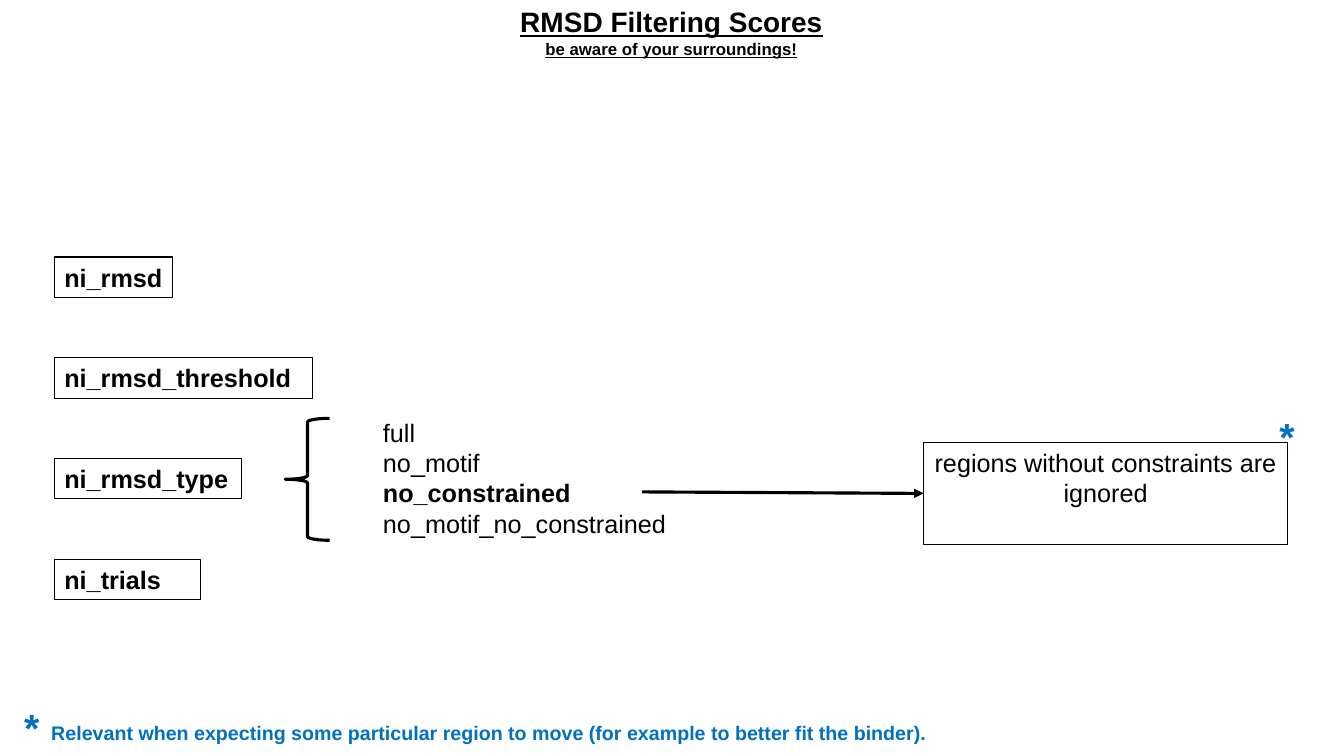
from pptx import Presentation
from pptx.dml.color import RGBColor
from pptx.enum.shapes import MSO_CONNECTOR, MSO_SHAPE
from pptx.enum.text import MSO_ANCHOR, PP_ALIGN
from pptx.oxml.ns import qn
from pptx.util import Inches, Pt
from lxml import etree

BLACK = RGBColor(0x00, 0x00, 0x00)
BLUE = RGBColor(0x00, 0x70, 0xC0)
RECT, BRACE = MSO_SHAPE.RECTANGLE, MSO_SHAPE.LEFT_BRACE
LINE = MSO_CONNECTOR.STRAIGHT
LEFT, MID = PP_ALIGN.LEFT, PP_ALIGN.CENTER
TOP = MSO_ANCHOR.TOP


class Page:
    font = "Arial"

    def __init__(self, slide):
        self.shapes = slide.shapes

    def label(self, shape, lines, color=BLACK, align=LEFT):
        """Each line is (text, size, bold, underline)."""
        frame = shape.text_frame
        frame.word_wrap = True
        frame.vertical_anchor = TOP
        if align == LEFT:
            frame.margin_right = 0
        for i, (text, size, bold, under) in enumerate(lines):
            para = frame.add_paragraph() if i else frame.paragraphs[0]
            para.alignment = align
            run = para.add_run()
            run.text = text
            font = run.font
            font.name, font.size = self.font, Pt(size)
            font.bold, font.underline = bold, under
            font.color.rgb = color

    def text(self, box, lines, color=BLACK, align=LEFT):
        shape = self.shapes.add_textbox(*map(Inches, box))
        self.label(shape, lines, color, align)

    def shape(self, kind, box, width):
        shape = self.shapes.add_shape(kind, *map(Inches, box))
        shape.shadow.inherit = False
        shape.fill.background()
        shape.line.color.rgb = BLACK
        shape.line.width = Pt(width)
        return shape

    def box(self, box, lines, align=LEFT):
        shape = self.shape(RECT, box, 0.75)
        self.label(shape, lines, BLACK, align)
        return shape

    def arrow(self, x, y, goal, side):
        line = self.shapes.add_connector(LINE, Inches(x), Inches(y), 0, 0)
        line.end_connect(goal, side)
        line.line.color.rgb = BLACK
        line.line.width = Pt(2.25)
        props = line._element.spPr
        etree.SubElement(props.find(qn("a:ln")), qn("a:tailEnd"),
                         type="triangle")
        etree.SubElement(props, qn("a:effectLst"))


def main():
    deck = Presentation()
    deck.slide_width, deck.slide_height = Inches(13.33), Inches(7.5)
    page = Page(deck.slides.add_slide(deck.slide_layouts[6]))

    # Title
    page.text((4.96, 0, 3.4, 0.64),
              [("RMSD Filtering Scores", 20, True, True),
               ("be aware of your surroundings!", 12, True, True)],
              align=MID)

    # Filter names
    names = [("ni_rmsd", 1.17), ("ni_rmsd_threshold", 2.56),
             ("ni_rmsd_type", 1.86), ("ni_trials", 1.45)]
    for i, (name, width) in enumerate(names):
        page.box((0.54, 2.55 + i, width, 0.4), [(name, 18, True, False)])

    # Type options
    page.shape(BRACE, (2.83, 4.15, 0.44, 1.21), 2.25)
    kinds = ["full", "no_motif", "no_constrained", "no_motif_no_constrained"]
    page.text((3.7, 4.09, 3.39, 1.31),
              [(kind, 18, kind == "no_constrained", False) for kind in kinds])

    # Meaning of the chosen type
    region = page.box((9.16, 4.39, 3.61, 1.01),
                      [("regions without constraints are ignored",
                        18, False, False)], MID)
    page.arrow(6.37, 4.88, region, 1)

    # Star marks and footnote
    for x, y in [(12.59, 4.04), (0.14, 6.93)]:
        page.text((x, y, 0.42, 0.57), [("*", 28, True, False)], BLUE)
    page.text((0.41, 7.1, 10.25, 0.34),
              [("Relevant when expecting some particular region to move "
                "(for example to better fit the binder).", 14, True, False)],
              BLUE)

    deck.save("out.pptx")


if __name__ == "__main__":
    main()
